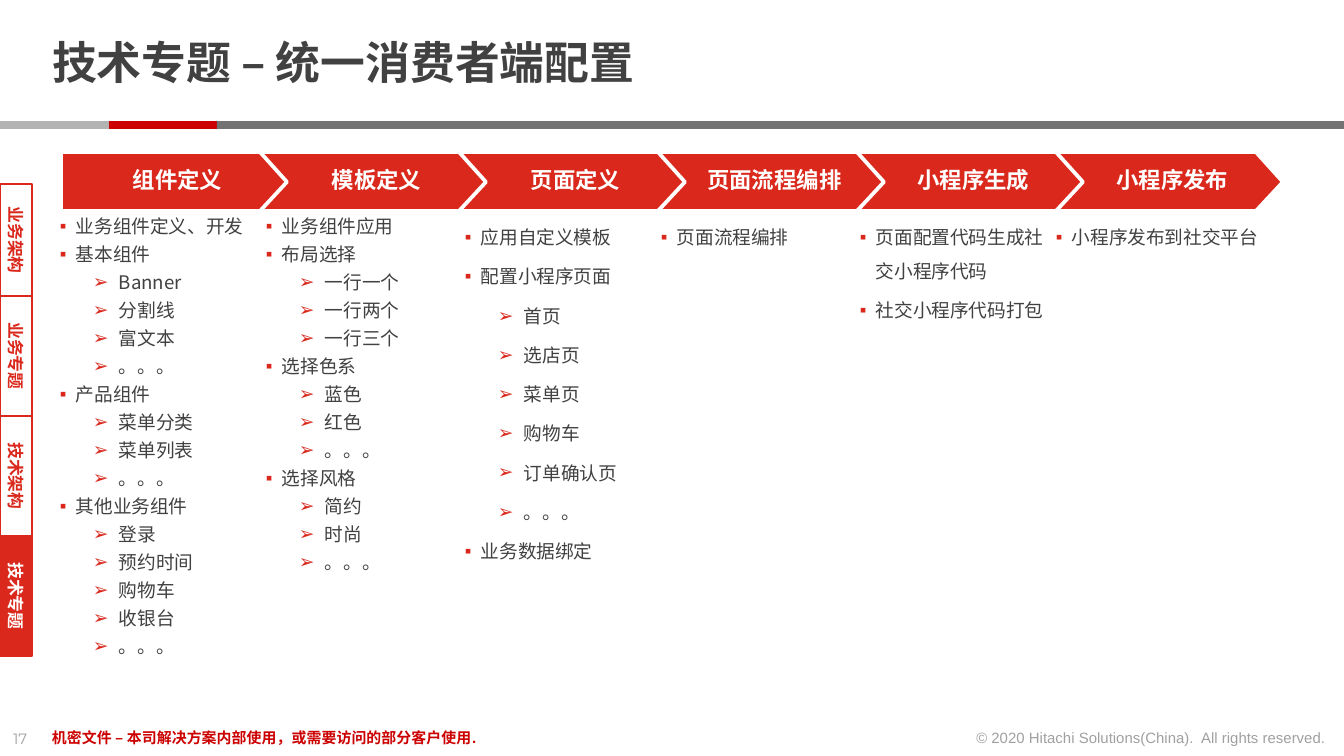
from dataclasses import dataclass
from typing import NamedTuple

from lxml import etree
from pptx import Presentation
from pptx.dml.color import RGBColor
from pptx.enum.shapes import MSO_SHAPE
from pptx.enum.text import MSO_ANCHOR, PP_ALIGN
from pptx.oxml.ns import qn
from pptx.util import Inches, Pt

LEFT, CENTER, RIGHT = PP_ALIGN.LEFT, PP_ALIGN.CENTER, PP_ALIGN.RIGHT
TOP, MIDDLE = MSO_ANCHOR.TOP, MSO_ANCHOR.MIDDLE
RECTANGLE = MSO_SHAPE.RECTANGLE

SLIDE_W, SLIDE_H = 1344, 756
EMU_PER_PX = Inches(10) / SLIDE_W


@dataclass(frozen=True)
class Theme:
    font: str = "Noto Sans CJK SC"
    footer_font: str = "Arial"
    number_font: str = "Montserrat"
    ink: str = "414141"
    muted: str = "A0A0A0"
    red: str = "DA291C"
    deep_red: str = "CC0000"
    light_gray: str = "B3B3B3"
    dark_gray: str = "737373"
    white: str = "FFFFFF"
    title_size: int = 24
    step_size: int = 12
    body_size: int = 10
    tab_size: int = 9
    footer_size: int = 8
    tight_line: int = 12
    loose_line: int = 18


THEME = Theme()


class Box(NamedTuple):
    left: int
    top: int
    width: int
    height: int


class Bullet(NamedTuple):
    level: int
    char: str
    margin: int
    hang: int


class Step(NamedTuple):
    label: str
    left: int
    width: int
    line_height: int
    items: list[str]


class Tab(NamedTuple):
    label: str
    length: int
    active: bool = False


class Footer(NamedTuple):
    text: str
    box: Box
    font: str
    color: str
    align: PP_ALIGN = LEFT
    bold: bool = False


MAIN_BULLET = Bullet(0, "▪", 16, 16)
SUB_BULLET = Bullet(1, "➢", 59, 26)
SUB_MARK = "- "

STEPS = [
    Step("组件定义", 60, 216, THEME.tight_line, [
        "业务组件定义、开发", "基本组件", "- Banner", "- 分割线", "- 富文本", "- 。。。",
        "产品组件", "- 菜单分类", "- 菜单列表", "- 。。。",
        "其他业务组件", "- 登录", "- 预约时间", "- 购物车", "- 收银台", "- 。。。"]),
    Step("模板定义", 266, 191, THEME.tight_line, [
        "业务组件应用", "布局选择", "- 一行一个", "- 一行两个", "- 一行三个",
        "选择色系", "- 蓝色", "- 红色", "- 。。。",
        "选择风格", "- 简约", "- 时尚", "- 。。。"]),
    Step("页面定义", 465, 203, THEME.loose_line, [
        "应用自定义模板", "配置小程序页面", "- 首页", "- 选店页", "- 菜单页",
        "- 购物车", "- 订单确认页", "- 。。。", "业务数据绑定"]),
    Step("页面流程编排", 661, 207, THEME.loose_line, ["页面流程编排"]),
    Step("小程序生成", 860, 196, THEME.loose_line, [
        "页面配置代码生成社交小程序代码", "社交小程序代码打包"]),
    Step("小程序发布", 1056, 219, THEME.loose_line, ["小程序发布到社交平台"]),
]
TABS = [Tab("业务架构", 112), Tab("业务专题", 120), Tab("技术架构", 120),
        Tab("技术专题", 120, True)]
FOOTERS = [
    Footer("17", Box(0, 723, 46, 32), THEME.number_font, THEME.muted),
    Footer("机密文件 – 本司解决方案内部使用，或需要访问的部分客户使用.",
           Box(39, 722, 906, 32), THEME.footer_font, THEME.deep_red, LEFT, True),
    Footer("© 2020 Hitachi Solutions(China).\u00a0 All rights reserved.",
           Box(957, 722, 382, 32), THEME.footer_font, THEME.muted, RIGHT),
]
RULE_BARS = [(0, 109, THEME.light_gray), (109, 217, THEME.deep_red),
             (217, SLIDE_W, THEME.dark_gray)]

STEP_LEFT, STEP_TOP, STEP_PITCH = 61, 152, 199
STEP_W, STEP_H, STEP_POINT = 227, 59, 27
COLUMN_TOP, COLUMN_H = 215, 496
TAB_TOP, TAB_THICKNESS = 184, 32


def px(length: float) -> int:
    return round(length * EMU_PER_PX)


def rgb(color: str) -> RGBColor:
    return RGBColor.from_string(color)


def place(shape, box: Box) -> None:
    shape.left, shape.top, shape.width, shape.height = map(px, box)


def set_frame(frame, margins: tuple[int, int, int, int], anchor=TOP) -> None:
    frame.word_wrap = True
    frame.vertical_anchor = anchor
    (frame.margin_left, frame.margin_top,
     frame.margin_right, frame.margin_bottom) = map(px, margins)


def style(paragraph, size: int, color: str, bold: bool = False,
          align=LEFT, font: str = THEME.font) -> None:
    paragraph.alignment = align
    paragraph.font.size = Pt(size)
    paragraph.font.bold = bold
    paragraph.font.color.rgb = rgb(color)
    paragraph.font.name = font
    defaults = paragraph._p.pPr.find(qn("a:defRPr"))
    etree.SubElement(defaults, qn("a:ea")).set("typeface", THEME.font)


def paint(shape, fill: str, line: str | None = None, weight: float = 0) -> None:
    shape.shadow.inherit = False
    shape.fill.solid()
    shape.fill.fore_color.rgb = rgb(fill)
    if line is None:
        shape.line.fill.background()
    else:
        shape.line.color.rgb = rgb(line)
        shape.line.width = Pt(weight)


def add_bullet(paragraph, bullet: Bullet) -> None:
    paragraph.level = bullet.level
    props = paragraph._p.get_or_add_pPr()
    props.set("marL", str(px(bullet.margin)))
    props.set("indent", str(-px(bullet.hang)))
    tint = etree.SubElement(props, qn("a:buClr"))
    etree.SubElement(tint, qn("a:srgbClr")).set("val", THEME.red)
    etree.SubElement(props, qn("a:buFont")).set("typeface", "Arial")
    etree.SubElement(props, qn("a:buChar")).set("char", bullet.char)


def draw_title(slide, text: str) -> None:
    title = slide.shapes.title
    place(title, Box(39, 17, 1036, 98))
    title.text_frame.text = text
    set_frame(title.text_frame, (13, 0, 13, 0), MIDDLE)
    heading = title.text_frame.paragraphs[0]
    heading.line_spacing = 0.85
    style(heading, THEME.title_size, THEME.ink, True)


def draw_bar(slide, start: int, end: int, color: str) -> None:
    bar = slide.shapes.add_shape(RECTANGLE, *map(px, Box(start, 121, end - start, 8)))
    paint(bar, color)


def draw_chevron(slide, label: str, index: int) -> None:
    left = STEP_LEFT + index * STEP_PITCH
    right, bottom = left + STEP_W, STEP_TOP + STEP_H
    middle = STEP_TOP + STEP_H / 2
    outline = [(right - STEP_POINT, STEP_TOP), (right, middle),
               (right - STEP_POINT, bottom), (left, bottom)]
    if index:
        outline.append((left + STEP_POINT, middle))
    builder = slide.shapes.build_freeform(left, STEP_TOP, scale=EMU_PER_PX)
    builder.add_line_segments(outline, close=True)
    chevron = builder.convert_to_shape()
    paint(chevron, THEME.red, THEME.white, 2)
    set_frame(chevron.text_frame, (38, 5, 32, 5), MIDDLE)
    caption = chevron.text_frame.paragraphs[0]
    caption.text = label
    caption.line_spacing = 0.9
    style(caption, THEME.step_size, THEME.white, True, CENTER)


def draw_column(slide, step: Step) -> None:
    box = Box(step.left, COLUMN_TOP, step.width, COLUMN_H)
    frame = slide.shapes.add_textbox(*map(px, box)).text_frame
    set_frame(frame, (0, 0, 0, 0))
    for index, item in enumerate(step.items):
        entry = frame.add_paragraph() if index else frame.paragraphs[0]
        entry.text = item.removeprefix(SUB_MARK)
        add_bullet(entry, SUB_BULLET if item.startswith(SUB_MARK) else MAIN_BULLET)
        entry.line_spacing = Pt(step.line_height)
        entry.space_before = Pt(0)
        entry.space_after = Pt(3)
        style(entry, THEME.body_size, THEME.ink)


def draw_tab(slide, tab: Tab, top: int) -> None:
    box = Box((TAB_THICKNESS - tab.length) // 2,
              top + (tab.length - TAB_THICKNESS) // 2, tab.length, TAB_THICKNESS)
    side_tab = slide.shapes.add_shape(RECTANGLE, *map(px, box))
    side_tab.rotation = 90
    fill, ink = (THEME.red, THEME.white) if tab.active else (THEME.white, THEME.red)
    paint(side_tab, fill, THEME.red, 0.75)
    set_frame(side_tab.text_frame, (10, 5, 10, 5), MIDDLE)
    caption = side_tab.text_frame.paragraphs[0]
    caption.text = tab.label
    style(caption, THEME.tab_size, ink, True, CENTER)


def draw_footer(slide, footer: Footer) -> None:
    frame = slide.shapes.add_textbox(*map(px, footer.box)).text_frame
    set_frame(frame, (13, 7, 13, 7))
    note = frame.paragraphs[0]
    note.text = footer.text
    style(note, THEME.footer_size, footer.color, footer.bold, footer.align, footer.font)


def main() -> None:
    deck = Presentation()
    deck.slide_width, deck.slide_height = px(SLIDE_W), px(SLIDE_H)
    slide = deck.slides.add_slide(deck.slide_layouts[5])
    draw_title(slide, "技术专题 – 统一消费者端配置")
    for bar in RULE_BARS:
        draw_bar(slide, *bar)
    for footer in FOOTERS:
        draw_footer(slide, footer)
    for index, step in enumerate(STEPS):
        draw_chevron(slide, step.label, index)
        draw_column(slide, step)
    tab_top = TAB_TOP
    for tab in TABS:
        draw_tab(slide, tab, tab_top)
        tab_top += tab.length
    deck.save("out.pptx")


if __name__ == "__main__":
    main()
